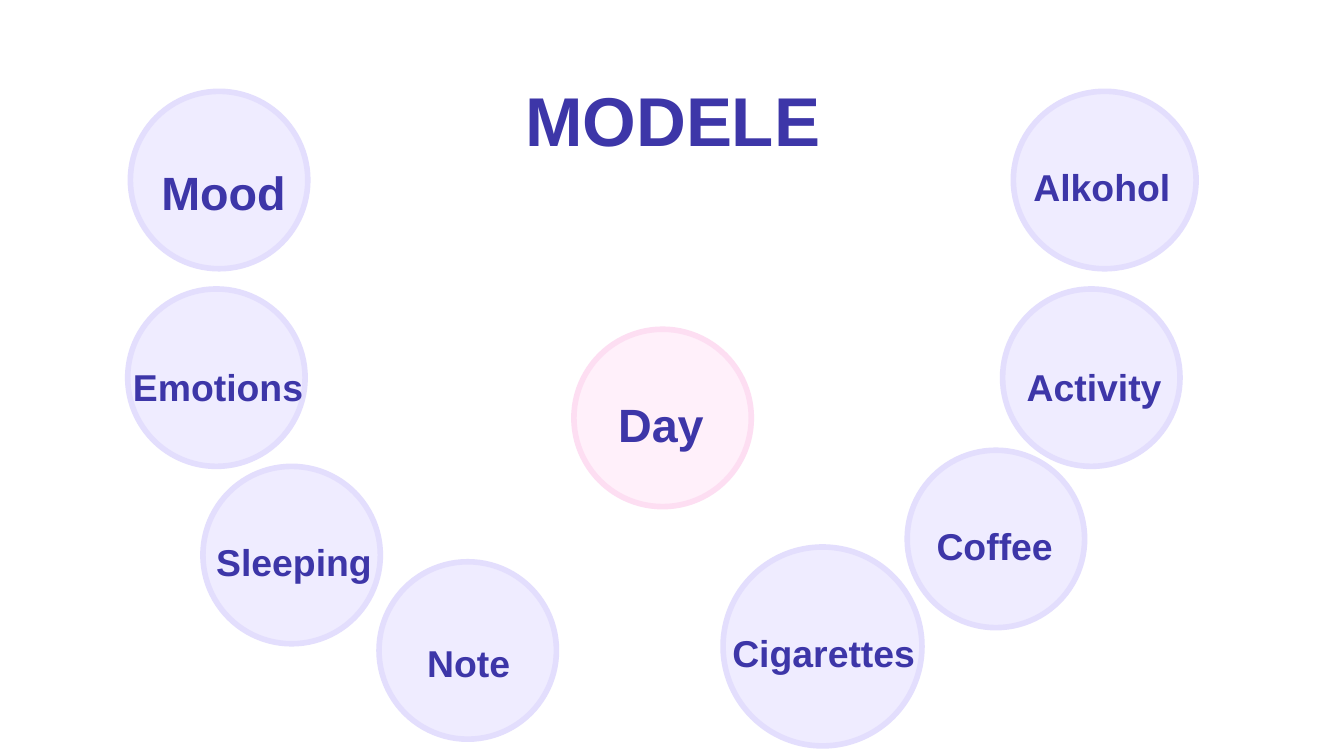
from dataclasses import dataclass

import pptx
import pptx.dml.color
import pptx.enum.shapes
import pptx.enum.text
import pptx.util
from pptx.util import Inches

INDIGO = "3D36A8"
LAVENDER = ("EFECFF", "E3DEFD")
PINK = ("FFF0FA", "FDDEF2")


@dataclass
class Circle:
    left: float
    top: float
    width: float = 1.32
    height: float = 1.32
    colors: tuple[str, str] = LAVENDER


@dataclass
class Label:
    text: str
    left: float
    top: float
    width: float
    height: float = 0.52
    size: int = 20
    inset_x: float = 0.1
    inset_y: float = 0.05


CIRCLES = [
    Circle(0.97, 0.68),
    Circle(4.27, 2.45, colors=PINK),
    Circle(7.54, 0.68, width=1.36),
    Circle(0.95, 2.15),
    Circle(1.51, 3.47),
    Circle(2.82, 4.18),
    Circle(5.38, 4.07, 1.48, 1.48),
    Circle(6.75, 3.35),
    Circle(7.46, 2.15),
]

LABELS = [
    Label("Mood", 1.2, 1.05, 1.02, 0.59, 25, 0, 0),
    Label("Day", 4.6, 2.78, 0.66, 0.59, 25, 0, 0),
    Label("Emotions", 0.89, 2.53, 1.48),
    Label("Sleeping", 1.51, 3.83, 1.48),
    Label("Note", 3.08, 4.58, 0.9),
    Label("Alkohol", 7.59, 1.04, 1.48),
    Label("Activity", 7.54, 2.53, 1.23),
    Label("Coffee", 6.87, 3.71, 1.07),
    Label("Cigarettes", 5.35, 4.51, 1.61),
]


def color(value: str) -> pptx.dml.color.RGBColor:
    return pptx.dml.color.RGBColor.from_string(value)


def draw_circle(page, circle: Circle) -> None:
    shape = page.shapes.add_shape(
        pptx.enum.shapes.MSO_SHAPE.OVAL,
        Inches(circle.left), Inches(circle.top),
        Inches(circle.width), Inches(circle.height),
    )
    fill, line = circle.colors
    shape.shadow.inherit = False
    shape.fill.solid()
    shape.fill.fore_color.rgb = color(fill)
    shape.line.color.rgb = color(line)
    shape.line.width = pptx.util.Pt(3)


def write_text(box, label: Label, spacing: float) -> None:
    box.left, box.top = Inches(label.left), Inches(label.top)
    box.width, box.height = Inches(label.width), Inches(label.height)
    frame = box.text_frame
    frame.text = label.text
    frame.word_wrap = True
    frame.auto_size = pptx.enum.text.MSO_AUTO_SIZE.SHAPE_TO_FIT_TEXT
    frame.vertical_anchor = pptx.enum.text.MSO_ANCHOR.TOP
    frame.margin_left = frame.margin_right = Inches(label.inset_x)
    frame.margin_top = frame.margin_bottom = Inches(label.inset_y)
    paragraph = frame.paragraphs[0]
    paragraph.line_spacing = spacing
    paragraph.font.name = "Arial"
    paragraph.font.size = pptx.util.Pt(label.size)
    paragraph.font.bold = True
    paragraph.font.color.rgb = color(INDIGO)


def main() -> None:
    deck = pptx.Presentation()
    deck.slide_width = Inches(10)
    deck.slide_height = deck.slide_width * 9 // 16
    page = deck.slides.add_slide(deck.slide_layouts[5])

    title = page.shapes.title
    write_text(title, Label("MODELE", 2.27, 0.58, 5.47, 0.62, 37, 0, 0), 1.0)
    title.text_frame.paragraphs[0].alignment = pptx.enum.text.PP_ALIGN.CENTER

    for circle in CIRCLES:
        draw_circle(page, circle)
    for label in LABELS:
        box = page.shapes.add_textbox(0, 0, 0, 0)
        write_text(box, label, 1.4)

    deck.save("out.pptx")


if __name__ == "__main__":
    main()
